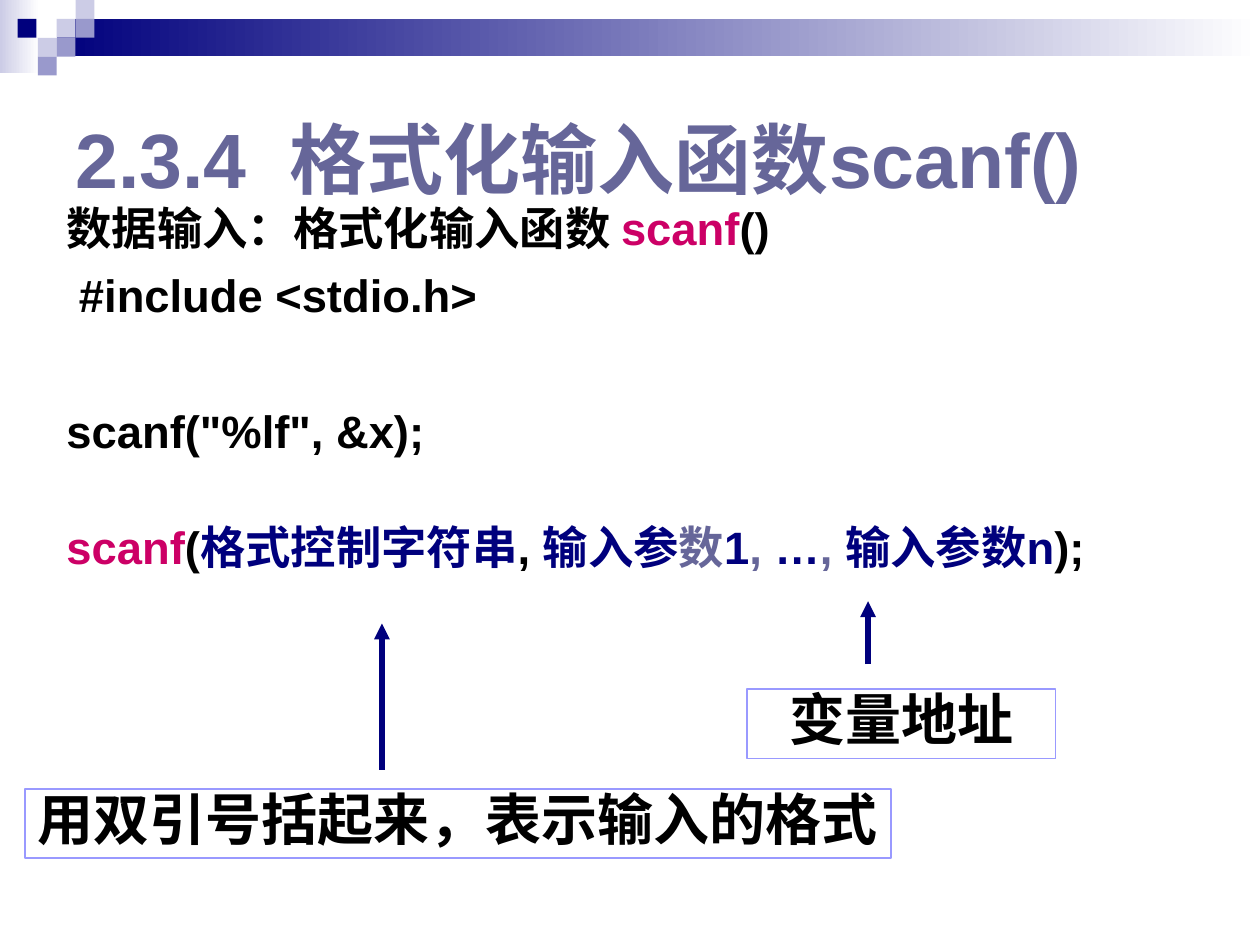
"""Build the slide on the formatted input function scanf()."""
from lxml.etree import SubElement
from pptx import Presentation
from pptx.dml.color import RGBColor
from pptx.enum.shapes import MSO_CONNECTOR as Connector, MSO_SHAPE as Shape
from pptx.enum.text import MSO_ANCHOR as Anchor, PP_ALIGN as Align
from pptx.oxml.ns import qn
from pptx.util import Cm, Pt

NAVY = RGBColor(0x00, 0x00, 0x7D)
SLATE = RGBColor(0x66, 0x66, 0x99)
LILAC = RGBColor(0x99, 0x99, 0xCC)
PALE = RGBColor(0xCC, 0xCC, 0xE6)
BORDER = RGBColor(0x99, 0x99, 0xFF)
PINK = RGBColor(0xCC, 0x00, 0x66)
BLACK = RGBColor(0x00, 0x00, 0x00)
WHITE = RGBColor(0xFF, 0xFF, 0xFF)
LATIN = "Arial"
CHINESE = "Noto Sans CJK SC"
CELL = 0.38

TITLE = [[("2.3.4  格式化输入函数scanf()", SLATE)]]
BODY = [
    [("数据输入：格式化输入函数 ", BLACK), ("scanf", PINK), ("()", BLACK)],
    [(" #include <stdio.h>", BLACK)],
    [('scanf("%lf", &x);', BLACK)],
    [("scanf", PINK), ("(", BLACK), ("格式控制字符串", NAVY), (", ", BLACK),
     ("输入参", NAVY), ("数", SLATE), ("1", NAVY), (", ", SLATE), ("…", NAVY),
     (", ", SLATE), ("输入参数n", NAVY), (");", BLACK)],
]
BODY_GAPS = [0, 7, 46.8, 35.4]
SQUARES = [(0.45, 0.15, PALE), (0.6, 0, PALE), (0.6, 0.15, LILAC), (0.3, 0.3, PALE),
           (0.14, 0.15, NAVY), (0.45, 0.3, LILAC), (0.3, 0.45, LILAC)]


class Painter:
    def __init__(self, page):
        self.page = page

    def block(self, left, top, width, height):
        box = self.page.shapes.add_shape(
            Shape.RECTANGLE, Cm(left), Cm(top), Cm(width), Cm(height))
        box.shadow.inherit = False
        box.line.fill.background()
        return box

    def square(self, left, top, color):
        box = self.block(left, top, CELL, CELL)
        box.fill.solid()
        box.fill.fore_color.rgb = color

    def fade(self, left, top, width, height, color):
        box = self.block(left, top, width, height)
        box.fill.gradient()
        box.fill.gradient_angle = 0
        for stop, shade in zip(box.fill.gradient_stops, (color, WHITE)):
            stop.color.rgb = shade

    def add_lines(self, frame, lines, size, face=LATIN, gaps=(0,)):
        for index, (line, gap) in enumerate(zip(lines, gaps)):
            para = frame.paragraphs[0] if index == 0 else frame.add_paragraph()
            para.space_before = Pt(gap)
            for words, color in line:
                span = para.add_run()
                span.text = words
                span.font.size = Pt(size)
                span.font.bold = True
                span.font.name = face
                span.font.color.rgb = color
                SubElement(span.font._element, qn("a:ea"), typeface=CHINESE)

    def text(self, left, top, width, height, lines, size, anchor=Anchor.TOP, gaps=(0,)):
        box = self.page.shapes.add_textbox(Cm(left), Cm(top), Cm(width), Cm(height))
        box.text_frame.word_wrap = True
        box.text_frame.vertical_anchor = anchor
        self.add_lines(box.text_frame, lines, size, gaps=gaps)

    def label(self, left, top, width, words):
        box = self.block(left, top, width, 1.4)
        box.fill.background()
        box.line.color.rgb = BORDER
        box.line.width = Pt(1)
        frame = box.text_frame
        frame.word_wrap = False
        frame.vertical_anchor = Anchor.TOP
        self.add_lines(frame, [[(words, BLACK)]], 32, CHINESE)
        para = frame.paragraphs[0]
        para.alignment = Align.CENTER
        para.line_spacing = 0.84

    def arrow(self, x, bottom, top):
        line = self.page.shapes.add_connector(
            Connector.STRAIGHT, Cm(x), Cm(bottom), Cm(x), Cm(top))
        line.line.color.rgb = NAVY
        line.line.width = Pt(3)
        outline = line._element.spPr.find(qn("a:ln"))
        SubElement(outline, qn("a:tailEnd"), type="triangle")
        SubElement(line._element.spPr, qn("a:effectLst"))


def main():
    deck = Presentation()
    deck.slide_width, deck.slide_height = Cm(25.4), Cm(19.05)
    painter = Painter(deck.slides.add_slide(deck.slide_layouts[6]))
    painter.fade(0, 0, 0.79, 1.47, PALE)
    painter.fade(1.14, 0.38, 24.26, 0.76, NAVY)
    for left, top, color in SQUARES:
        painter.square(left * 2.54, top * 2.54, color)
    painter.text(1.27, 1.27, 22.86, 3.81, TITLE, 44, Anchor.MIDDLE)
    painter.text(1.09, 3.91, 23.8, 8.79, BODY, 25.9, gaps=BODY_GAPS)
    painter.label(0.51, 15.9, 17.45, "用双引号括起来，表示输入的格式")
    painter.arrow(7.7, 15.52, 12.57)
    painter.label(15.06, 13.89, 6.22, "变量地址")
    painter.arrow(17.5, 13.39, 12.12)
    deck.save("out.pptx")


if __name__ == "__main__":
    main()
